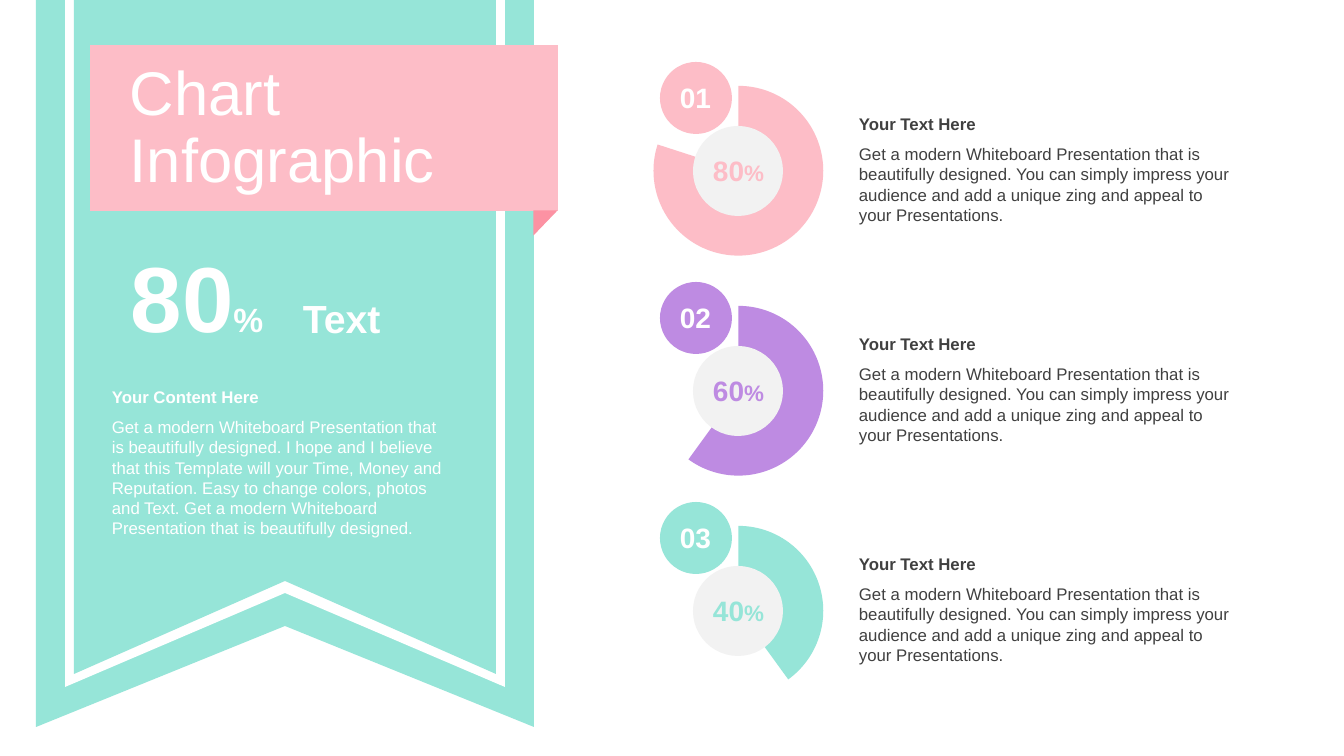
from lxml.etree import SubElement
from pptx import Presentation
from pptx.chart.data import CategoryChartData
from pptx.dml.color import RGBColor
from pptx.enum.chart import XL_CHART_TYPE
from pptx.enum.shapes import MSO_SHAPE
from pptx.enum.text import MSO_ANCHOR, PP_ALIGN
from pptx.oxml.ns import qn
from pptx.util import Pt

SLIDE_WIDTH, SLIDE_HEIGHT = 1344, 756
EMU_PER_PX = 12192000 / SLIDE_WIDTH
FONT = "Arial"

MINT = RGBColor(0x96, 0xE5, 0xD8)
PINK = RGBColor(0xFD, 0xBD, 0xC7)
FOLD_PINK = RGBColor(0xFC, 0x92, 0xA3)
PURPLE = RGBColor(0xBE, 0x8B, 0xE2)
LIGHT_GREY = RGBColor(0xF2, 0xF2, 0xF2)
DARK_GREY = RGBColor(0x40, 0x40, 0x40)
WHITE = RGBColor(0xFF, 0xFF, 0xFF)
BLACK = RGBColor(0x00, 0x00, 0x00)

RIBBON_TEXT = (
    "Get a modern Whiteboard Presentation that is beautifully designed. "
    "I hope and I believe that this Template will your Time, Money and Reputation. "
    "Easy to change colors, photos and Text. "
    "Get a modern Whiteboard Presentation that is beautifully designed."
)
ROW_TEXT = (
    "Get a modern Whiteboard Presentation that is beautifully designed. "
    "You can simply impress your audience and add a unique zing and appeal "
    "to your Presentations."
)
ROWS = [("01", 80, PINK), ("02", 60, PURPLE), ("03", 40, MINT)]
ROW_PITCH = 220
PLOT_LAYOUT = {"x": 0.054, "y": 0.048, "w": 0.891, "h": 0.918}


def px(length):
    """Turn pixels into EMU."""
    return round(length * EMU_PER_PX)


def paint(shape, color):
    """Give a shape a plain fill without line or shadow."""
    shape.shadow.inherit = False
    shape.fill.solid()
    shape.fill.fore_color.rgb = color
    shape.line.fill.background()


def add_block(page, kind, box, color):
    """Add a plain preset shape in the given box."""
    shape = page.shapes.add_shape(kind, *map(px, box))
    paint(shape, color)
    return shape


def add_text(page, box, text, size, color, bold=False, align=PP_ALIGN.LEFT, anchor=MSO_ANCHOR.TOP):
    """Add a one-paragraph text box and return its paragraph."""
    frame = page.shapes.add_textbox(*map(px, box)).text_frame
    frame.word_wrap = True
    frame.vertical_anchor = anchor
    para = frame.paragraphs[0]
    para.text = text
    para.alignment = align
    para.font.name = FONT
    para.font.size = Pt(size)
    para.font.bold = bold
    para.font.color.rgb = color
    return para


def add_percent(page, box, value, size, sign_size, color):
    """Add a bold centred number followed by a smaller percent sign."""
    para = add_text(page, box, str(value), size, color, True, PP_ALIGN.CENTER, MSO_ANCHOR.MIDDLE)
    span = para.add_run()
    span.text = "%"
    span.font.size = Pt(sign_size)


def add_passage(page, box, heading, body, color):
    """Add a bold heading with its body text below."""
    left, top, width, height = box
    heading_height = 30
    add_text(page, (left, top, width, heading_height), heading, 12, color, True)
    add_text(page, (left, top + heading_height, width, height - heading_height), body, 12, color)


def add_pennant(page, box, notch, color):
    """Add a hanging ribbon with a notch cut into its lower edge."""
    left, top, width, height = box
    right, bottom = left + width, top + height
    outline = page.shapes.build_freeform(left, top, scale=EMU_PER_PX)
    outline.add_line_segments(
        [(right, top), (right, bottom), (left + width // 2, bottom - notch), (left, bottom)]
    )
    paint(outline.convert_to_shape(), color)


def add_ribbon(page, box):
    """Add the ribbon with its title banner, key figure and passage."""
    left, top, width, height = box
    layers = [(0, height, 101, MINT), (29, height - 40, 94, WHITE), (38, height - 53, 93, MINT)]
    for inset, depth, notch, color in layers:
        add_pennant(page, (left + inset, top, width - 2 * inset, depth), notch, color)
    add_block(page, MSO_SHAPE.RECTANGLE, (left + 54, top + 45, 468, 166), PINK)
    fold = add_block(page, MSO_SHAPE.RIGHT_TRIANGLE, (left + 497, top + 211, 25, 24), FOLD_PINK)
    fold.rotation = 90
    title = add_text(
        page, (left + 84, top + 42, 393, 174), "Chart Infographic", 44, WHITE,
        anchor=MSO_ANCHOR.MIDDLE,
    )
    title.line_spacing = 0.9
    add_percent(page, (left + 64, top + 235, 194, 122), 80, 66, 24, WHITE)
    add_text(page, (left + 257, top + 289, 147, 57), "Text", 28, WHITE, True)
    add_passage(page, (left + 66, top + 382, 357, 162), "Your Content Here", RIBBON_TEXT, WHITE)


def add_ring(page, box, value, color):
    """Add a doughnut chart that shows one share of a hundred."""
    chart_data = CategoryChartData()
    chart_data.categories = ["1", "2"]
    chart_data.add_series("Series 1", (value, 100 - value))
    chart = page.shapes.add_chart(XL_CHART_TYPE.DOUGHNUT, *map(px, box), chart_data).chart
    chart.has_legend = False
    chart.has_title = False
    chart.font.name = FONT
    chart.font.size = Pt(18)
    chart.font.color.rgb = BLACK
    plot = chart.plots[0]
    plot.vary_by_categories = True
    share, rest = (plot.series[0].points[index].format for index in range(2))
    share.fill.solid()
    share.fill.fore_color.rgb = color
    rest.fill.background()
    for part in (share, rest):
        part.line.fill.background()

    plot_area = chart.element.find(f".//{qn('c:plotArea')}")
    plot_area.find(f".//{qn('c:holeSize')}").set("val", "70")
    layout = plot_area.find(qn("c:layout"))
    if layout is None:
        layout = SubElement(plot_area, qn("c:layout"))
        plot_area.insert(0, layout)
    manual = SubElement(layout, qn("c:manualLayout"))
    settings = {"layoutTarget": "inner", "xMode": "edge", "yMode": "edge", **PLOT_LAYOUT}
    for name, setting in settings.items():
        SubElement(manual, qn(f"c:{name}")).set("val", str(setting))


def add_row(page, box, number, value, color):
    """Add a numbered ring with its passage on the right."""
    left, top, width, height = box
    add_ring(page, (left, top + 15, 191, 185), value, color)
    add_block(page, MSO_SHAPE.OVAL, (left + 50, top + 64, 90, 90), LIGHT_GREY)
    add_percent(page, (left + 52, top + 86, 87, 44), value, 20, 16, color)
    add_block(page, MSO_SHAPE.OVAL, (left + 17, top, 72, 72), color)
    add_text(page, (left + 18, top + 14, 69, 44), number, 20, WHITE, True, PP_ALIGN.CENTER)
    add_passage(
        page, (left + 206, top + 47, width - 206, 122), "Your Text Here", ROW_TEXT, DARK_GREY
    )


def main():
    """Build the slide and save the deck."""
    deck = Presentation()
    deck.slide_width = px(SLIDE_WIDTH)
    deck.slide_height = px(SLIDE_HEIGHT)
    page = deck.slides.add_slide(deck.slide_layouts[6])
    add_ribbon(page, (36, 0, 498, 727))
    for index, row in enumerate(ROWS):
        add_row(page, (643, 62 + index * ROW_PITCH, 606, 200), *row)
    deck.save("out.pptx")


if __name__ == "__main__":
    main()
